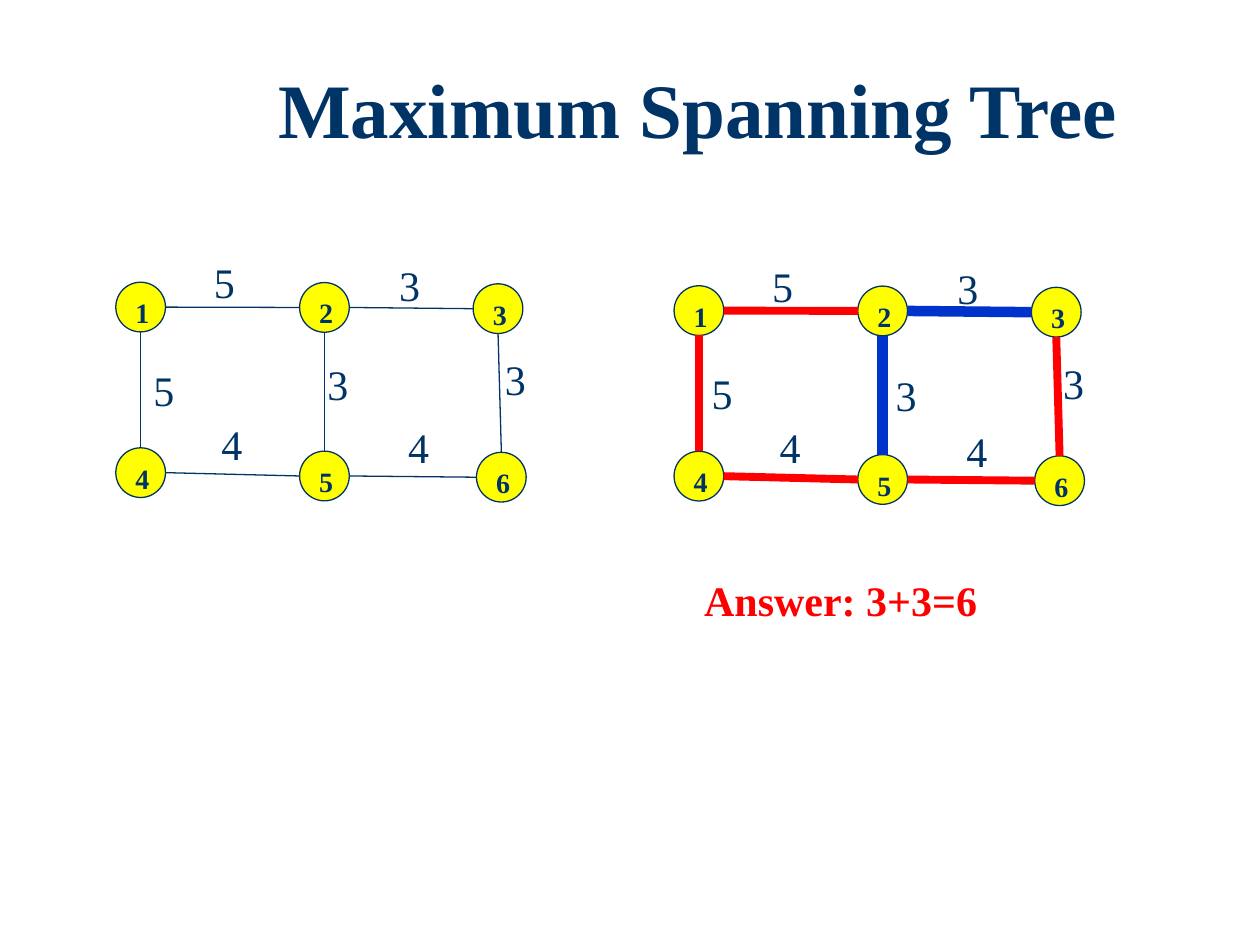
from dataclasses import dataclass

from lxml import etree
from pptx import Presentation
from pptx import util as u
from pptx.dml.color import RGBColor
from pptx.enum import shapes, text
from pptx.oxml import ns

COLORS = {"navy": "003366", "yellow": "FFFF00", "red": "FF0000", "blue": "0033CC"}
FONT = "Times New Roman"
DIAMETER = 28.4
LABEL_SIZE = (26.6, 36)


@dataclass(frozen=True)
class Edge:
    start: int
    end: int
    weight: int
    label: tuple[float, float]


@dataclass(frozen=True)
class Stroke:
    color: str
    width: float


@dataclass(frozen=True)
class Graph:
    offset: tuple[float, float]
    edges: list[Edge]
    strokes: dict[tuple[int, int], Stroke]
    default: Stroke


CENTERS = {
    1: (80.4, 175.5), 2: (185.4, 175.7), 3: (284.6, 176.4),
    4: (80.4, 270.1), 5: (185.4, 272), 6: (286.5, 272.7),
}
EDGES = [
    Edge(1, 2, 5, (115.2, 143.3)),
    Edge(2, 3, 3, (221, 144.7)),
    Edge(1, 4, 5, (80.6, 204.5)),
    Edge(4, 5, 4, (119.5, 235.4)),
    Edge(5, 6, 4, (226.1, 237.6)),
    Edge(3, 6, 3, (281.5, 198.7)),
]
THIN = Stroke("navy", 0.75)
KEPT = Stroke("red", 4.5)
DROPPED = Stroke("blue", 6)
GRAPHS = [
    Graph((0, 0), EDGES + [Edge(2, 5, 3, (180, 201.6))], {}, THIN),
    Graph((319, 2), EDGES + [Edge(2, 5, 3, (185.8, 205.4))],
          {(2, 3): DROPPED, (2, 5): DROPPED}, KEPT),
]


def rgb(color: str) -> RGBColor:
    return RGBColor.from_string(COLORS[color])


def write(frame, wording: str, size: float, color: str, bold: bool,
          align=text.PP_ALIGN.LEFT):
    paragraph = frame.paragraphs[0]
    paragraph.alignment = align
    run = paragraph.add_run()
    run.text = wording
    run.font.name = FONT
    run.font.size = u.Pt(size)
    run.font.bold = bold
    run.font.color.rgb = rgb(color)
    return paragraph


def add_caption(slide, left: float, top: float, width: float, height: float,
                wording: str, color: str = "navy", bold: bool = False) -> None:
    caption = slide.shapes.add_textbox(u.Pt(left), u.Pt(top), u.Pt(width), u.Pt(height))
    caption.text_frame.word_wrap = False
    caption.text_frame.auto_size = text.MSO_AUTO_SIZE.SHAPE_TO_FIT_TEXT
    write(caption.text_frame, wording, 24, color, bold)


def add_node(slide, number: int, x: float, y: float) -> None:
    node = slide.shapes.add_shape(
        shapes.MSO_SHAPE.OVAL, u.Pt(x - DIAMETER / 2), u.Pt(y - DIAMETER / 2),
        u.Pt(DIAMETER), u.Pt(DIAMETER))
    node.shadow.inherit = False
    node.fill.solid()
    node.fill.fore_color.rgb = rgb("yellow")
    node.line.color.rgb = rgb("navy")
    node.line.width = u.Pt(0.75)
    node.text_frame.word_wrap = False
    node.text_frame.vertical_anchor = text.MSO_ANCHOR.TOP
    write(node.text_frame, str(number), 16, "navy", True)


def add_edge(slide, edge: Edge, offset: tuple[float, float], stroke: Stroke) -> None:
    dx, dy = offset
    x1, y1 = CENTERS[edge.start]
    x2, y2 = CENTERS[edge.end]
    horizontal = edge.end - edge.start == 1
    gap_x, gap_y = (DIAMETER / 2, 0) if horizontal else (0, DIAMETER / 2)
    link = slide.shapes.add_connector(
        shapes.MSO_CONNECTOR.STRAIGHT,
        u.Pt(x1 + dx + gap_x), u.Pt(y1 + dy + gap_y),
        u.Pt(x2 + dx - gap_x), u.Pt(y2 + dy - gap_y))
    link.line.color.rgb = rgb(stroke.color)
    link.line.width = u.Pt(stroke.width)
    etree.SubElement(link._element.spPr, ns.qn("a:effectLst"))
    left, top = edge.label
    add_caption(slide, left + dx, top + dy, *LABEL_SIZE, str(edge.weight))


def add_graph(slide, graph: Graph) -> None:
    dx, dy = graph.offset
    for number, (x, y) in CENTERS.items():
        add_node(slide, number, x + dx, y + dy)
    for edge in graph.edges:
        stroke = graph.strokes.get((edge.start, edge.end), graph.default)
        add_edge(slide, edge, graph.offset, stroke)


def add_title(slide, wording: str) -> None:
    title = slide.shapes.title
    title.left, title.top = u.Pt(110.9), u.Pt(31.7)
    title.width, title.height = u.Pt(576), u.Pt(66.2)
    title.text_frame.vertical_anchor = text.MSO_ANCHOR.MIDDLE
    heading = write(title.text_frame, wording, 44, "navy", True, text.PP_ALIGN.CENTER)
    heading.line_spacing = 0.9


def main() -> None:
    deck = Presentation()
    deck.slide_width, deck.slide_height = u.Pt(720), u.Pt(540)
    slide = deck.slides.add_slide(deck.slide_layouts[5])
    add_title(slide, "Maximum Spanning Tree")
    for graph in GRAPHS:
        add_graph(slide, graph)
    add_caption(slide, 395.3, 324.7, 172, 36, "Answer: 3+3=6", "red", True)
    deck.save("out.pptx")


if __name__ == "__main__":
    main()
